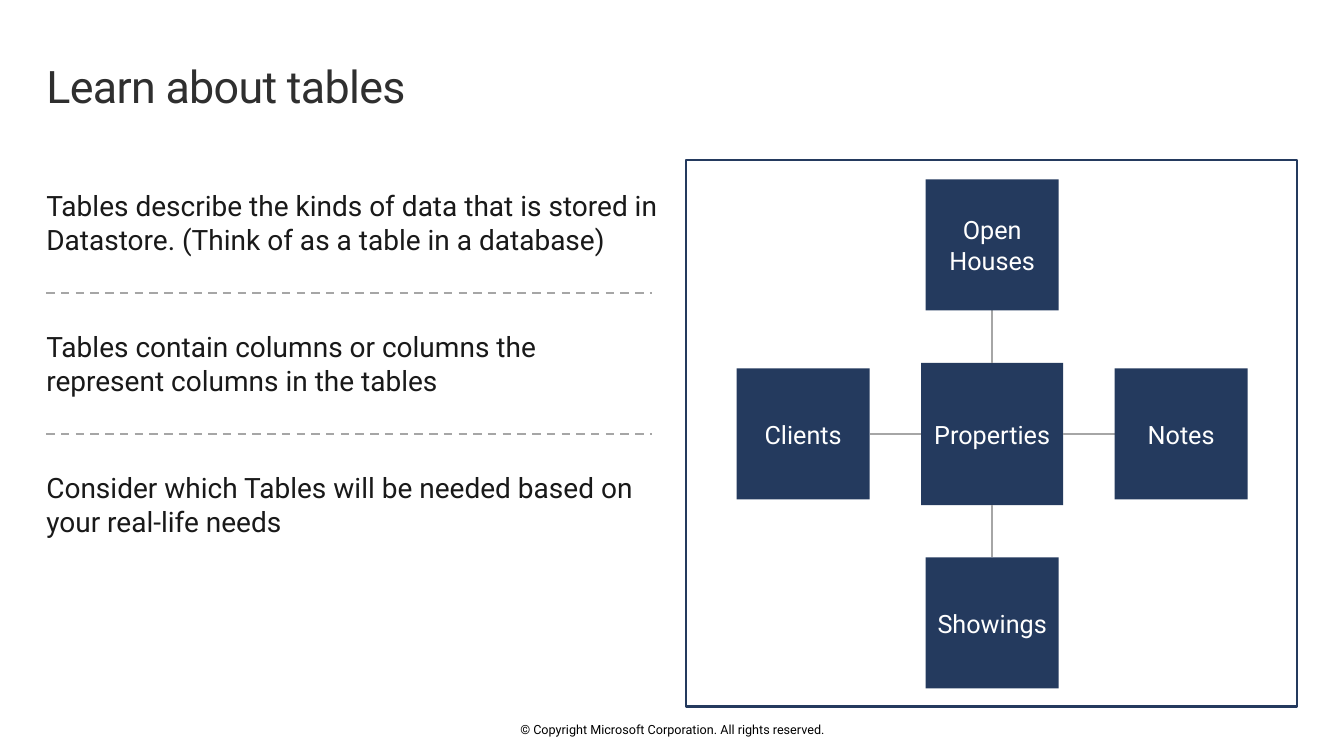
from dataclasses import dataclass

from lxml import etree
from pptx import Presentation
from pptx.dml.color import RGBColor
from pptx.enum import dml, shapes, text
from pptx.oxml.ns import qn
from pptx.shapes.base import BaseShape
from pptx.slide import Slide
from pptx.util import Pt


@dataclass(frozen=True)
class Theme:
    font: str = "Roboto"
    navy: str = "243A5E"
    grey: str = "A6A6A6"
    white: str = "FFFFFF"
    black: str = "000000"
    title: str = "2F2F2F"
    body: str = "191919"
    title_size: float = 32
    body_size: float = 20
    box_size: float = 18
    footer_size: float = 9
    line_width: float = 1.5


@dataclass(frozen=True)
class Entity:
    """A diagram box, placed by its step from the hub."""
    name: str
    step_x: int
    step_y: int


THEME = Theme()
LEFT = 33.1
HUB_X, HUB_Y, HUB_SIDE = 708.7, 310, 101.5
BOX_WIDTH, BOX_HEIGHT = 95, 93.6
STEP = 135
POINTS_TOP, POINTS_PITCH, POINT_HEIGHT = 114.5, 100.8, 88.6

POINTS = (
    "Tables describe the kinds of data that is stored in Datastore. (Think of as a table in a database)",
    "Tables contain columns or columns the represent columns in the tables",
    "Consider which Tables will be needed based on your real-life needs",
)
ENTITIES = (
    Entity("Open Houses", 0, -1),
    Entity("Clients", -1, 0),
    Entity("Notes", 1, 0),
    Entity("Showings", 0, 1),
)


def colour(value: str) -> RGBColor:
    return RGBColor.from_string(value)


def place(shape: BaseShape, left: float, top: float, width: float, height: float) -> None:
    shape.left, shape.top = Pt(left), Pt(top)
    shape.width, shape.height = Pt(width), Pt(height)


def write(shape: BaseShape, words: str, *, size: float, fill: str,
          align: text.PP_ALIGN = text.PP_ALIGN.LEFT,
          anchor: text.MSO_ANCHOR = text.MSO_ANCHOR.MIDDLE,
          margins: tuple[float, float, float, float] = (0, 0, 0, 0),
          spacing: float = 0) -> None:
    """Fill a shape with one paragraph; margins are left, top, right, bottom."""
    frame = shape.text_frame
    frame.word_wrap = True
    frame.auto_size = text.MSO_AUTO_SIZE.NONE
    frame.vertical_anchor = anchor
    (frame.margin_left, frame.margin_top,
     frame.margin_right, frame.margin_bottom) = map(Pt, margins)
    paragraph = frame.paragraphs[0]
    paragraph.alignment = align
    run = paragraph.add_run()
    run.text = words
    run.font.name = THEME.font
    run.font.size = Pt(size)
    run.font.color.rgb = colour(fill)
    if spacing:
        run.font._element.set("spc", str(round(spacing * 100)))


def add_text(slide: Slide, words: str, left: float, top: float,
             width: float, height: float, **style) -> None:
    box = slide.shapes.add_textbox(Pt(left), Pt(top), Pt(width), Pt(height))
    write(box, words, **style)


def add_line(slide: Slide, x1: float, y1: float, x2: float, y2: float,
             dashed: bool = False) -> None:
    line = slide.shapes.add_connector(
        shapes.MSO_CONNECTOR.STRAIGHT, Pt(x1), Pt(y1), Pt(x2), Pt(y2))
    line.line.color.rgb = colour(THEME.grey)
    line.line.width = Pt(THEME.line_width)
    if dashed:
        line.line.dash_style = dml.MSO_LINE.DASH
    etree.SubElement(line._element.spPr, qn("a:effectLst"))


def add_rectangle(slide: Slide, left: float, top: float,
                  width: float, height: float) -> BaseShape:
    rectangle = slide.shapes.add_shape(
        shapes.MSO_SHAPE.RECTANGLE, Pt(left), Pt(top), Pt(width), Pt(height))
    rectangle.shadow.inherit = False
    return rectangle


def add_frame(slide: Slide) -> None:
    frame = add_rectangle(slide, 490.3, 114.5, 436.3, 390.2)
    frame.fill.background()
    frame.line.color.rgb = colour(THEME.navy)
    frame.line.width = Pt(THEME.line_width)


def add_box(slide: Slide, name: str, centre_x: float, centre_y: float,
            width: float, height: float) -> None:
    box = add_rectangle(slide, centre_x - width / 2, centre_y - height / 2, width, height)
    box.fill.solid()
    box.fill.fore_color.rgb = colour(THEME.navy)
    box.line.fill.background()
    write(box, name, size=THEME.box_size, fill=THEME.white,
          align=text.PP_ALIGN.CENTER, margins=(8, 8, 8, 8))


def add_diagram(slide: Slide) -> None:
    add_frame(slide)
    add_box(slide, "Properties", HUB_X, HUB_Y, HUB_SIDE, HUB_SIDE)
    near = HUB_SIDE / 2
    far_x, far_y = STEP - BOX_WIDTH / 2, STEP - BOX_HEIGHT / 2
    for entity in ENTITIES:
        x, y = entity.step_x, entity.step_y
        add_line(slide, HUB_X + x * near, HUB_Y + y * near,
                 HUB_X + x * far_x, HUB_Y + y * far_y)
        add_box(slide, entity.name, HUB_X + x * STEP, HUB_Y + y * STEP,
                BOX_WIDTH, BOX_HEIGHT)


def add_points(slide: Slide) -> None:
    """Stack the statements, with a dashed rule between each two."""
    for index, words in enumerate(POINTS):
        top = POINTS_TOP + index * POINTS_PITCH
        add_text(slide, words, LEFT, top, 439.2, POINT_HEIGHT,
                 size=THEME.body_size, fill=THEME.body, margins=(0, 3.6, 0, 3.6))
        if index:
            rule = top - 5.9
            add_line(slide, LEFT, rule, 465.8, rule, dashed=True)


def main() -> None:
    presentation = Presentation()
    presentation.slide_width, presentation.slide_height = Pt(960), Pt(540)
    slide = presentation.slides.add_slide(presentation.slide_layouts.get_by_name("Title Only"))
    title = slide.shapes.title
    place(title, LEFT, 34.6, 894.2, 57.6)
    write(title, "Learn about tables", size=THEME.title_size, fill=THEME.title,
          anchor=text.MSO_ANCHOR.TOP, margins=(0, 7.2, 11.5, 7.2), spacing=-0.5)
    add_points(slide)
    add_diagram(slide)
    add_text(slide, "© Copyright Microsoft Corporation. All rights reserved.",
             318.2, 515.5, 324, 10.8, size=THEME.footer_size, fill=THEME.black,
             align=text.PP_ALIGN.CENTER)
    presentation.save("out.pptx")


if __name__ == "__main__":
    main()
